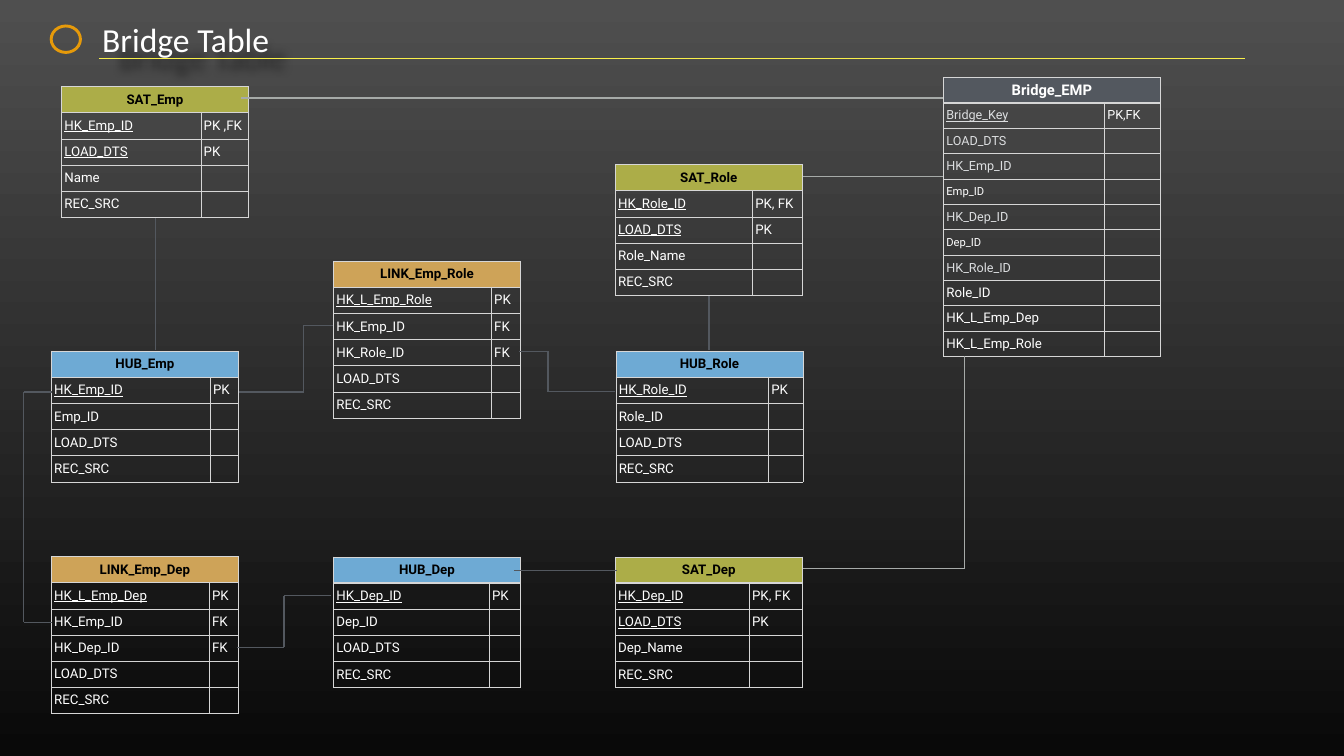
from itertools import pairwise
from typing import NamedTuple

from lxml import etree
from pptx import Presentation
from pptx.dml.color import RGBColor
from pptx.enum.shapes import MSO_CONNECTOR, MSO_SHAPE
from pptx.enum.text import MSO_ANCHOR, PP_ALIGN
from pptx.oxml import parse_xml
from pptx.oxml.ns import nsdecls, qn
from pptx.util import Pt

STRAIGHT = MSO_CONNECTOR.STRAIGHT
DONUT = MSO_SHAPE.DONUT
MIDDLE = MSO_ANCHOR.MIDDLE
LEFT, CENTER = PP_ALIGN.LEFT, PP_ALIGN.CENTER

WHITE, BLACK, PALE = "FFFFFF", "000000", "DCDEE0"
BLUE, SAND, OLIVE, SLATE = "6EAAD4", "CEA358", "ACAD48", "53585F"
BORDER, SILVER, YELLOW = "D6D6D6", "A6AAA8", "F8EF4A"


class Row(NamedTuple):
    name: str
    key: str = ""
    size: float = 19
    color: str = WHITE


class Entity(NamedTuple):
    name: str
    fill: str
    left: float
    top: float
    keyw: float
    rows: list[Row]
    width: float = 267
    step: float = 37.4
    size: float = 19
    color: str = BLACK


class Wire(NamedTuple):
    points: list[tuple[float, float]]
    color: str = SLATE
    width: float = 2


LOAD, SOURCE = Row("LOAD_DTS"), Row("REC_SRC")
STAMP = Row("LOAD_DTS", "PK")

ENTITIES = [
    Entity("HUB_Emp", BLUE, 73.5, 501.5, 40,
           [Row("HK_Emp_ID", "PK"), Row("Emp_ID"), LOAD, SOURCE]),
    Entity("HUB_Dep", BLUE, 476.5, 795.5, 44.5,
           [Row("HK_Dep_ID", "PK"), Row("Dep_ID"), LOAD, SOURCE]),
    Entity("HUB_Role", BLUE, 880, 501.5, 49,
           [Row("HK_Role_ID", "PK"), Row("Role_ID"), LOAD, SOURCE]),
    Entity("LINK_Emp_Role", SAND, 476.5, 373, 41.5,
           [Row("HK_L_Emp_Role", "PK"), Row("HK_Emp_ID", "FK"),
            Row("HK_Role_ID", "FK"), LOAD, SOURCE]),
    Entity("LINK_Emp_Dep", SAND, 73.5, 795, 41.5,
           [Row("HK_L_Emp_Dep", "PK"), Row("HK_Emp_ID", "FK"),
            Row("HK_Dep_ID", "FK"), LOAD, SOURCE]),
    Entity("SAT_Emp", OLIVE, 88, 123.5, 68,
           [Row("HK_Emp_ID", "PK ,FK"), STAMP, Row("Name"), SOURCE]),
    Entity("SAT_Role", OLIVE, 879, 235, 71,
           [Row("HK_Role_ID", "PK, FK"), STAMP, Row("Role_Name"), SOURCE]),
    Entity("SAT_Dep", OLIVE, 879, 795.5, 75.5,
           [Row("HK_Dep_ID", "PK, FK"), STAMP, Row("Dep_Name"), SOURCE]),
    Entity("Bridge_EMP", SLATE, 1348, 111, 79.5,
           [Row("Bridge_Key", "PK,FK", 18, PALE),
            Row("LOAD_DTS", "", 18, PALE),
            Row("HK_Emp_ID", "", 18, PALE), Row("Emp_ID", "", 16),
            Row("HK_Dep_ID", "", 18, PALE), Row("Dep_ID", "", 16),
            Row("HK_Role_ID", "", 18, PALE), Row("Role_ID"),
            Row("HK_L_Emp_Dep"), Row("HK_L_Emp_Role")],
           width=309.5, step=36.2, size=21, color=WHITE),
]

WIRES = [
    Wire([(142, 83), (1778, 83)], YELLOW, 1),
    Wire([(342, 560), (434, 560), (434, 465), (476, 465)]),
    Wire([(742, 502), (783, 502), (783, 559.5), (878, 559.5)]),
    Wire([(74, 560), (34, 560), (34, 889), (74, 889)]),
    Wire([(339, 925), (406, 925), (406, 851), (473, 851)]),
    Wire([(222, 312), (222, 500)]),
    Wire([(1013, 423), (1013, 500)]),
    Wire([(734, 815), (881, 815)]),
    Wire([(345, 140), (1347, 140)], SILVER),
    Wire([(1147, 812), (1378, 812), (1378, 509)], SILVER),
    Wire([(1147, 252), (1347, 252)], SILVER),
]


def tint(code: str) -> RGBColor:
    return RGBColor.from_string(code)


def write(frame, text: str, *, size: float, color: str = WHITE,
          face: str = "Roboto", bold: bool = False, under: bool = False,
          align=LEFT) -> None:
    para = frame.paragraphs[0]
    para.alignment = align
    run = para.add_run()
    run.text = text
    font = run.font
    font.name, font.size = face, Pt(size)
    font.bold, font.underline = bold, under
    font.color.rgb = tint(color)


def edge(cell, base: float) -> None:
    """Draw the four cell borders; base is the width of the lower one."""
    props = cell._tc.get_or_add_tcPr()
    for spot, side in enumerate("LRTB"):
        width = Pt(base if side == "B" else 1)
        props.insert(spot, parse_xml(
            f'<a:ln{side} {nsdecls("a")} w="{width}"><a:solidFill>'
            f'<a:srgbClr val="{BORDER}"/></a:solidFill></a:ln{side}>'))


def draw(slide, item: Entity) -> None:
    count = len(item.rows) + 1
    table = slide.shapes.add_table(
        count, 2, Pt(item.left), Pt(item.top),
        Pt(item.width), Pt(item.step * count)).table
    table.first_row = table.horz_banding = False
    table.columns[0].width = Pt(item.width - item.keyw)
    table.columns[1].width = Pt(item.keyw)
    for line in table.rows:
        line.height = Pt(item.step)
    for spot, cell in enumerate(table.iter_cells()):
        head = spot < 2
        cell.vertical_anchor = MIDDLE
        cell.margin_left = cell.margin_right = Pt(4)
        cell.margin_top = cell.margin_bottom = Pt(4)
        if head:
            cell.fill.solid()
            cell.fill.fore_color.rgb = tint(item.fill)
        else:
            cell.fill.background()
        edge(cell, 2 if head else 1)
    title = table.cell(0, 0)
    title.merge(table.cell(0, 1))
    write(title.text_frame, item.name, size=item.size, color=item.color,
          bold=True, align=CENTER)
    for spot, row in enumerate(item.rows, 1):
        write(table.cell(spot, 0).text_frame, row.name, size=row.size,
              color=row.color, under="PK" in row.key)
        if row.key:
            write(table.cell(spot, 1).text_frame, row.key, size=row.size)


def link(slide, wire: Wire) -> None:
    for start, end in pairwise(wire.points):
        line = slide.shapes.add_connector(
            STRAIGHT, *(Pt(value) for value in start + end))
        line.line.color.rgb = tint(wire.color)
        line.line.width = Pt(wire.width)
        etree.SubElement(line._element.spPr, qn("a:effectLst"))


def head(slide) -> None:
    box = slide.shapes.add_textbox(Pt(140), Pt(28), Pt(761), Pt(55))
    frame = box.text_frame
    frame.word_wrap = True
    frame.vertical_anchor = MIDDLE
    frame.margin_left = frame.margin_right = Pt(6)
    frame.margin_top = frame.margin_bottom = Pt(6)
    write(frame, "Bridge Table", size=48, face="Calibri")
    box._element.spPr.append(parse_xml(
        f'<a:effectLst {nsdecls("a")}><a:outerShdw blurRad="{Pt(12)}" '
        f'dist="{Pt(34)}" dir="2700000"><a:srgbClr val="{BLACK}">'
        '<a:alpha val="50000"/></a:srgbClr></a:outerShdw></a:effectLst>'))
    mark = slide.shapes.add_shape(DONUT, Pt(71), Pt(35), Pt(46), Pt(42))
    mark.adjustments[0] = 0.1
    mark.shadow.inherit = False
    mark.fill.solid()
    mark.fill.fore_color.rgb = tint("E69A0A")
    mark.line.fill.background()


def main() -> None:
    deck = Presentation()
    deck.slide_width, deck.slide_height = Pt(1920), Pt(1080)
    slide = deck.slides.add_slide(deck.slide_layouts[6])
    back = slide.background.fill
    back.gradient()
    back.gradient_angle = 270
    for stop, code in zip(back.gradient_stops, ("4F4F4F", "090909")):
        stop.color.rgb = tint(code)
    head(slide)
    for item in ENTITIES:
        draw(slide, item)
    for wire in WIRES:
        link(slide, wire)
    deck.save("out.pptx")


if __name__ == "__main__":
    main()
